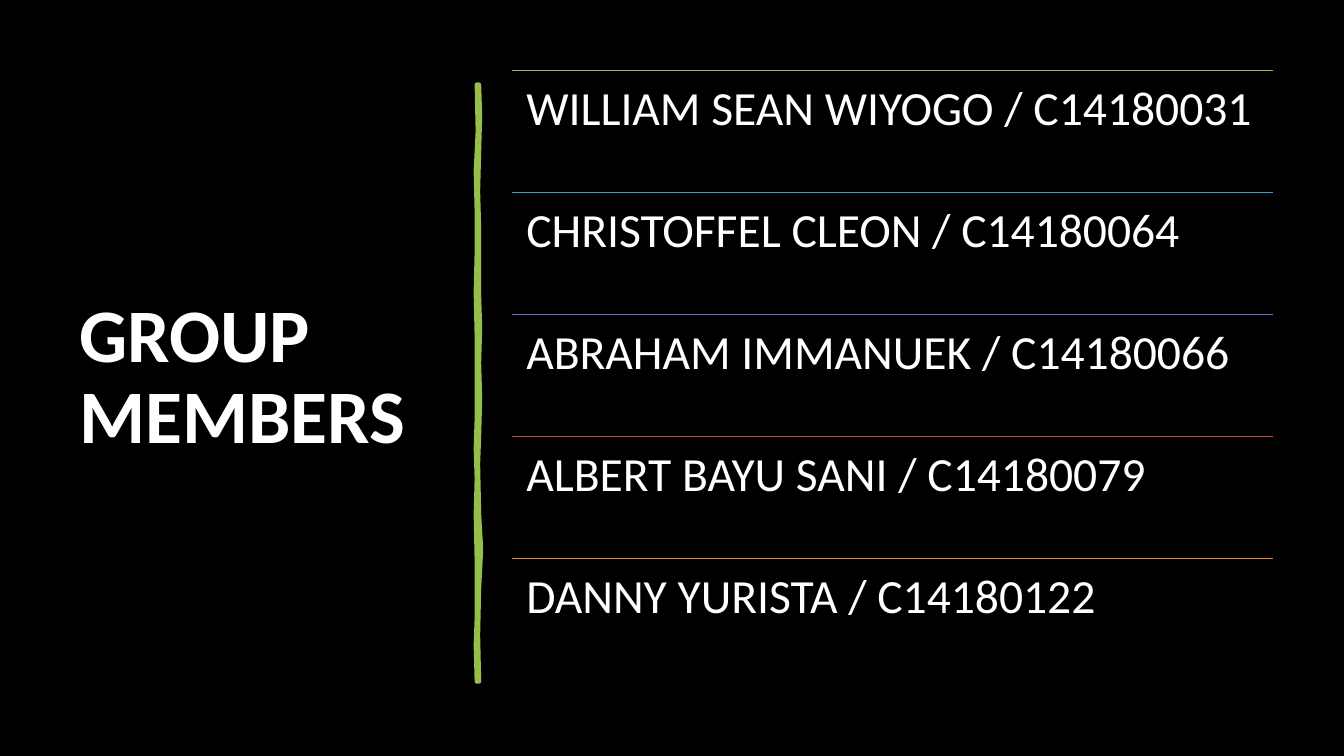
import pptx
import pptx.util
import pptx.dml.color
import pptx.enum.text
import pptx.enum.shapes
import pptx.oxml

Inches = pptx.util.Inches
Pt = pptx.util.Pt

COLORS = {
    "back": "000000",
    "text": "FFFFFF",
    "green": "97BE49",
    "blue": "3D9CCC",
    "purple": "7C60C6",
    "red": "C9492C",
    "orange": "D58C2E",
}

MEMBERS = [
    ("WILLIAM SEAN WIYOGO / C14180031", "green"),
    ("CHRISTOFFEL CLEON / C14180064", "blue"),
    ("ABRAHAM IMMANUEK / C14180066", "purple"),
    ("ALBERT BAYU SANI / C14180079", "red"),
    ("DANNY YURISTA / C14180122", "orange"),
]

# Edges of the hand-drawn bar, as (x, y) in inches
RIGHT = [(4.75, 0.84), (4.76, 1.15), (4.75, 1.5), (4.74, 1.9), (4.75, 2.26),
         (4.75, 2.94), (4.76, 3.25), (4.75, 3.6), (4.76, 3.95), (4.75, 4.33),
         (4.74, 4.6), (4.75, 5.1), (4.77, 5.45), (4.75, 5.84), (4.74, 6.3),
         (4.75, 6.76)]
LEFT = [(4.73, 6.76), (4.72, 6.4), (4.73, 6.13), (4.73, 5.57), (4.72, 5.1),
        (4.73, 4.75), (4.72, 4.45), (4.73, 4.15), (4.73, 3.35), (4.72, 2.9),
        (4.73, 2.5), (4.73, 2.1), (4.72, 1.7), (4.74, 1.3), (4.73, 0.84)]


def rgb(name):
    return pptx.dml.color.RGBColor.from_string(COLORS[name])


def add_text(slide, text, box, size, inset=None, bold=False, middle=False):
    shape = slide.shapes.add_textbox(*[Inches(v) for v in box])
    frame = shape.text_frame
    frame.word_wrap = True
    if inset is not None:
        frame.margin_left = frame.margin_right = Inches(inset)
        frame.margin_top = frame.margin_bottom = Inches(inset)
    anchor = pptx.enum.text.MSO_ANCHOR
    frame.vertical_anchor = anchor.MIDDLE if middle else anchor.TOP
    frame.text = text
    para = frame.paragraphs[0]
    para.line_spacing = 0.9
    font = para.runs[0].font
    font.name = "Calibri"
    font.size = Pt(size)
    font.bold = bold
    font.color.rgb = rgb("text")


def add_rule(slide, left, top, width, color):
    kind = pptx.enum.shapes.MSO_CONNECTOR.STRAIGHT
    rule = slide.shapes.add_connector(
        kind, Inches(left), Inches(top), Inches(left + width), Inches(top))
    rule.line.color.rgb = rgb(color)
    rule.line.width = Pt(1)
    props = rule._element.spPr
    props.append(props.makeelement(pptx.oxml.ns.qn("a:effectLst"), {}))


def add_bar(slide, color):
    points = [(Inches(x), Inches(y)) for x, y in RIGHT + LEFT]
    pen = slide.shapes.build_freeform(*points[0])
    pen.add_line_segments(points[1:], close=True)
    bar = pen.convert_to_shape()
    bar.shadow.inherit = False
    bar.fill.solid()
    bar.fill.fore_color.rgb = rgb(color)
    bar.line.color.rgb = rgb(color)
    bar.line.width = Pt(3.25)
    # Round the corners of the stroke
    line = bar.line._get_or_add_ln()
    line.append(line.makeelement(pptx.oxml.ns.qn("a:round"), {}))


def main():
    deck = pptx.Presentation()
    deck.slide_width = Inches(13.33)
    deck.slide_height = Inches(7.5)
    slide = deck.slides.add_slide(deck.slide_layouts[6])
    fill = slide.background.fill
    fill.solid()
    fill.fore_color.rgb = rgb("back")

    # Title and divider
    add_text(slide, "GROUP MEMBERS", (0.69, 0.7, 3.74, 6.11), 54,
             bold=True, middle=True)
    add_bar(slide, "green")

    # Member list
    left, top, width, step = 5.08, 0.7, 7.55, 1.21
    for row, (name, color) in enumerate(MEMBERS):
        y = top + row * step
        add_rule(slide, left, y, width, color)
        add_text(slide, name, (left, y, width, step), 34, inset=0.14)

    deck.save("out.pptx")


if __name__ == "__main__":
    main()
